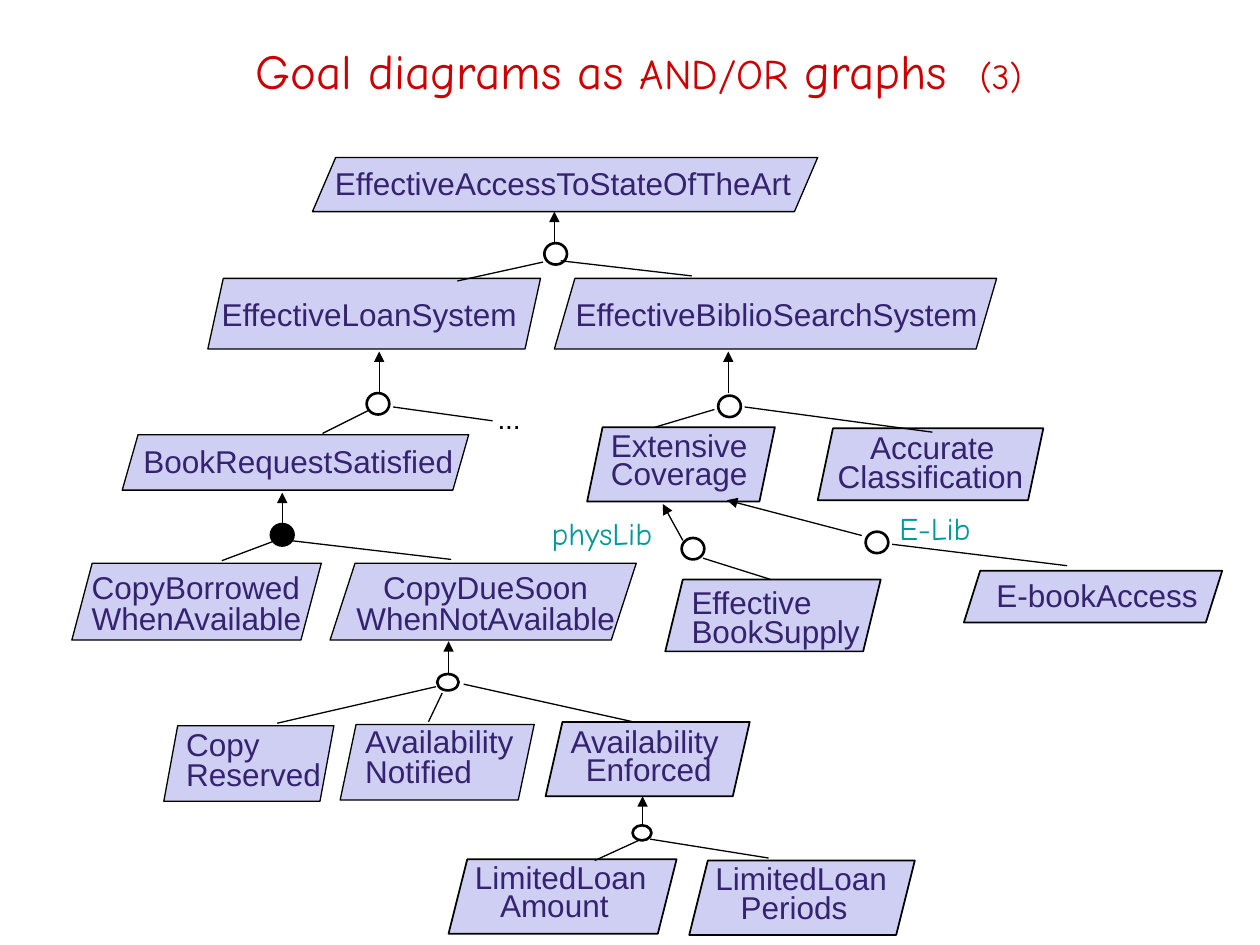
from dataclasses import dataclass

from lxml import etree
from pptx import Presentation
from pptx import util as u
from pptx.dml.color import RGBColor
from pptx.enum import shapes, text
from pptx.oxml.ns import qn


@dataclass(frozen=True)
class Theme:
    goal_fill: str = "CECFF2"
    goal_text: str = "352270"
    title: str = "CC0000"
    system: str = "009999"
    ink: str = "000000"
    body_font: str = "Arial"
    hand_font: str = "Comic Neue"
    body: int = 18
    dots: int = 16
    title_big: int = 28
    title_mid: int = 24
    title_small: int = 20
    thin: float = 0.75
    medium: float = 1
    thick: float = 1.5


T = Theme()
CENTER = text.PP_ALIGN.CENTER
LEFT = text.PP_ALIGN.LEFT

# Each goal: outline box, slant, outline width, label position and width,
# line spacing, label lines as (wording, alignment, indent)
GOALS = [
    ((4.4, 2.21, 3.51, 0.56), 0.291, T.thin, (4.47, 2.29, 3.41), 1,
     [("EffectiveBiblioSearchSystem", LEFT, 0)]),
    ((2.48, 1.25, 4.01, 0.43), 0.429, T.thin, (2.56, 1.31, 4), 0.8,
     [("EffectiveAccessToStateOfTheArt", LEFT, 0)]),
    ((1.65, 2.21, 2.64, 0.56), 0.219, T.thin, (1.66, 2.29, 2.62), 1,
     [("EffectiveLoanSystem", LEFT, 0)]),
    ((0.97, 3.45, 2.75, 0.44), 0.286, T.thin, (1.04, 3.46, 2.67), 1,
     [("BookRequestSatisfied", LEFT, 0)]),
    ((4.66, 3.39, 1.49, 0.59), 0.208, T.medium, (4.75, 3.4, 1.3), 0.75,
     [("Extensive", LEFT, 0), ("Coverage", LEFT, 0)]),
    ((6.49, 3.4, 1.79, 0.57), 0.212, T.medium, (6.55, 3.42, 1.68), 0.75,
     [("Accurate", CENTER, 0), ("Classification", LEFT, 0)]),
    ((5.28, 4.6, 1.71, 0.57), 0.244, T.medium, (5.39, 4.65, 1.6), 0.75,
     [("Effective", LEFT, 0), ("BookSupply", LEFT, 0)]),
    ((7.65, 4.53, 2.05, 0.41), 0.316, T.medium, (7.81, 4.58, 1.91), 0.8,
     [("E-bookAccess", LEFT, 0)]),
    ((0.57, 4.47, 1.98, 0.61), 0.265, T.thin, (0.63, 4.52, 1.87), 0.8,
     [("CopyBorrowed", LEFT, 0), ("WhenAvailable", LEFT, 0)]),
    ((2.62, 4.47, 2.43, 0.61), 0.325, T.thin, (2.7, 4.52, 2.29), 0.8,
     [("CopyDueSoon", CENTER, 0), ("WhenNotAvailable", CENTER, 0)]),
    ((1.3, 5.76, 1.35, 0.6), 0.184, T.thin, (1.38, 5.76, 1.27), 0.8,
     [("Copy", LEFT, 0), ("Reserved", LEFT, 0)]),
    ((2.7, 5.75, 1.54, 0.6), 0.211, T.thin, (2.8, 5.74, 1.45), 0.8,
     [("Availability", LEFT, 0), ("Notified", LEFT, 0)]),
    ((4.33, 5.73, 1.62, 0.59), 0.227, T.medium, (4.43, 5.75, 1.42), 0.75,
     [("Availability", LEFT, 0), ("Enforced", CENTER, 0)]),
    ((3.56, 6.82, 1.81, 0.59), 0.252, T.medium, (3.67, 6.83, 1.58), 0.75,
     [("LimitedLoan", LEFT, 0), ("Amount", LEFT, 0.2)]),
    ((5.47, 6.83, 1.79, 0.59), 0.25, T.medium, (5.58, 6.84, 1.57), 0.75,
     [("LimitedLoan", LEFT, 0), ("Periods", LEFT, 0.2)]),
]

# Each refinement: node box, filled or not, arrow to the parent goal,
# links to the subgoals; lines are (x1, y1, x2, y2)
REFINEMENTS = [
    ((4.32, 1.93, 0.18, 0.17), False, (4.4, 1.93, 4.4, 1.68),
     [(4.31, 2.08, 3.63, 2.23), (4.45, 2.07, 5.49, 2.19)]),
    ((2.91, 3.12, 0.18, 0.17), False, (3.01, 3.12, 3.01, 2.79),
     [(2.92, 3.26, 2.56, 3.44), (3.12, 3.23, 3.91, 3.34)]),
    ((5.7, 3.14, 0.18, 0.17), False, (5.78, 3.12, 5.78, 2.79),
     [(5.67, 3.25, 5.2, 3.39), (5.91, 3.23, 7.4, 3.43)]),
    ((2.15, 4.16, 0.18, 0.17), True, (2.24, 4.16, 2.24, 3.91),
     [(2.16, 4.3, 1.76, 4.45), (2.3, 4.29, 3.58, 4.44)]),
    ((5.41, 4.27, 0.18, 0.17), False, (5.42, 4.29, 5.26, 4),
     [(5.58, 4.43, 6.12, 4.6)]),
    ((6.87, 4.22, 0.18, 0.17), False, (6.84, 4.25, 5.77, 3.97),
     [(7.08, 4.32, 8.47, 4.49)]),
    ((3.47, 5.35, 0.17, 0.13), False, (3.56, 5.35, 3.56, 5.09),
     [(3.46, 5.45, 2.2, 5.74), (3.51, 5.5, 3.4, 5.73),
      (3.68, 5.43, 5.03, 5.73)]),
    ((5.02, 6.55, 0.15, 0.12), False, (5.1, 6.55, 5.1, 6.32),
     [(5.07, 6.67, 4.72, 6.83), (5.16, 6.66, 6.1, 6.81)]),
]


def inches(values):
    return [u.Inches(v) for v in values]


def add_text(s, box, lines, font=T.body_font, color=T.ink, spacing=1,
             anchor=text.MSO_ANCHOR.TOP):
    """Lines are (runs, alignment, indent); runs are (wording, size)."""
    tf = s.shapes.add_textbox(*inches(box)).text_frame
    tf.word_wrap = True
    tf.vertical_anchor = anchor
    tf.margin_right = u.Inches(0.08)
    for i, (runs, align, indent) in enumerate(lines):
        p = tf.add_paragraph() if i else tf.paragraphs[0]
        p.alignment = align
        p.line_spacing = spacing
        if indent:
            p._p.get_or_add_pPr().set("marL", str(u.Inches(indent)))
        for wording, size in runs:
            r = p.add_run()
            r.text = wording
            r.font.name = font
            r.font.size = u.Pt(size)
            r.font.color.rgb = RGBColor.from_string(color)


def add_outline(s, kind, box, width, fill=None):
    sp = s.shapes.add_shape(kind, *inches(box))
    sp.shadow.inherit = False
    if fill:
        sp.fill.solid()
        sp.fill.fore_color.rgb = RGBColor.from_string(fill)
    else:
        sp.fill.background()
    sp.line.color.rgb = RGBColor.from_string(T.ink)
    sp.line.width = u.Pt(width)
    return sp


def add_goal(s, box, slant, width, label, spacing, lines):
    sp = add_outline(s, shapes.MSO_SHAPE.PARALLELOGRAM, box, width, T.goal_fill)
    sp.adjustments[0] = slant
    add_text(s, (*label, 0.28 * len(lines)),
             [([(wording, T.body)], align, indent)
              for wording, align, indent in lines],
             color=T.goal_text, spacing=spacing)


def add_link(s, ends, arrow=False):
    c = s.shapes.add_connector(shapes.MSO_CONNECTOR.STRAIGHT, *inches(ends))
    c.line.color.rgb = RGBColor.from_string(T.ink)
    c.line.width = u.Pt(T.thin)
    if arrow:
        etree.SubElement(c.line._get_or_add_ln(), qn("a:tailEnd"), type="triangle")
    etree.SubElement(c._element.spPr, qn("a:effectLst"))


def add_refinement(s, node, filled, arrow, links):
    add_link(s, arrow, arrow=True)
    for ends in links:
        add_link(s, ends)
    add_outline(s, shapes.MSO_SHAPE.OVAL, node, T.thick, T.ink if filled else None)


def main():
    prs = Presentation()
    prs.slide_width, prs.slide_height = u.Inches(10), u.Inches(7.5)
    s = prs.slides.add_slide(prs.slide_layouts[6])

    # Title
    title = [("Goal diagrams as ", T.title_big), ("AND/OR", T.title_mid),
             (" graphs  ", T.title_big), ("(3)", T.title_small)]
    add_text(s, (0.33, 0.17, 9.46, 0.83), [(title, CENTER, 0)], T.hand_font,
             T.title, 0.9, text.MSO_ANCHOR.MIDDLE)

    # Goals and the refinements between them
    for goal in GOALS:
        add_goal(s, *goal)
    for refinement in REFINEMENTS:
        add_refinement(s, *refinement)

    # Names of the alternative systems, and the open branch
    for wording, box in [("physLib", (4.28, 4.03, 1.25, 0.36)),
                         ("E-Lib", (7.04, 3.99, 1.01, 0.36))]:
        add_text(s, box, [([(wording, T.body)], LEFT, 0)], T.hand_font, T.system)
    add_text(s, (3.85, 3.14, 0.41, 0.36), [([("...", T.dots)], LEFT, 0)])

    prs.save("out.pptx")


if __name__ == "__main__":
    main()
